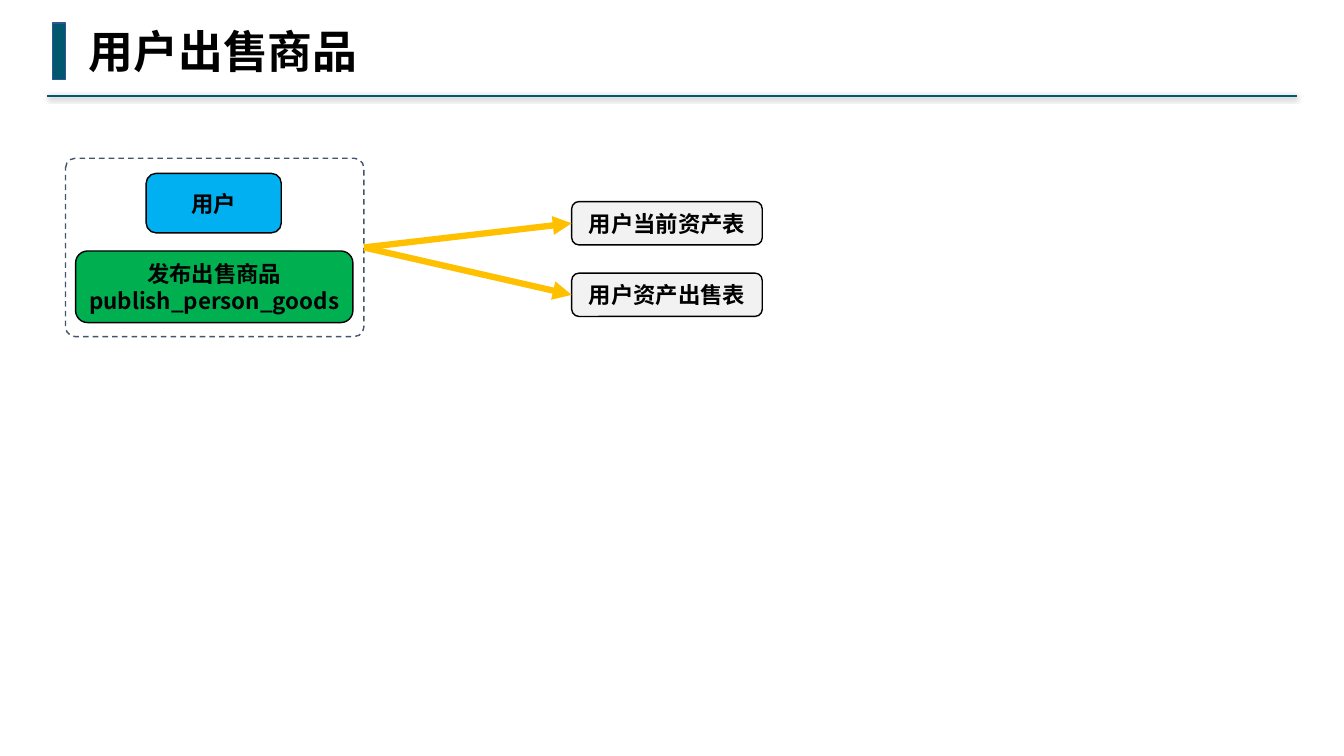
from pptx import Presentation
from pptx.dml.color import RGBColor
from pptx.enum.dml import MSO_LINE
from pptx.enum.shapes import MSO_CONNECTOR, MSO_SHAPE
from pptx.enum.text import MSO_ANCHOR, PP_ALIGN
from pptx.oxml.ns import qn
from pptx.util import Inches, Pt
from lxml.etree import SubElement

LABEL_FONT = "Noto Sans CJK SC"
TITLE_FONT = "DejaVu Sans Mono"
TEAL, BLACK = "00576E", "000000"
LEFT_SITE, RIGHT_SITE = 1, 3


def color(value):
    """Turn a hex string into a colour."""
    return RGBColor.from_string(value)


def write(shape, text, font, size, align):
    """Fill a shape with bold black text, one paragraph per line."""
    frame = shape.text_frame
    frame.text = text
    frame.word_wrap = False
    for para in frame.paragraphs:
        para.alignment = align
        for span in para.runs:
            span.font.size = Pt(size)
            span.font.bold = True
            span.font.color.rgb = color(BLACK)
            span.font.name = font
            SubElement(span.font._element, qn("a:ea"), typeface=font)


def add_box(page, box, kind, fill, line):
    """Add a flat preset shape; a fill of None leaves it hollow."""
    shape = page.shapes.add_shape(kind, *map(Inches, box))
    shape.shadow.inherit = False
    if fill:
        shape.fill.solid()
        shape.fill.fore_color.rgb = color(fill)
    else:
        shape.fill.background()
    shape.line.color.rgb = color(line)
    shape.line.width = Pt(1)
    return shape


def add_label(page, box, text, fill):
    """Add a rounded box with a centred label."""
    shape = add_box(page, box, MSO_SHAPE.ROUNDED_RECTANGLE, fill, BLACK)
    write(shape, text, LABEL_FONT, 16, PP_ALIGN.CENTER)
    frame = shape.text_frame
    frame.vertical_anchor = MSO_ANCHOR.MIDDLE
    frame.margin_left = frame.margin_right = Inches(0.04)
    frame.margin_top = frame.margin_bottom = Inches(0.04)
    return shape


def add_line(page, start, end, stroke, width):
    """Add a straight connector and return it with its empty effect list."""
    line = page.shapes.add_connector(
        MSO_CONNECTOR.STRAIGHT, *map(Inches, (*start, *end)))
    line.line.color.rgb = color(stroke)
    line.line.width = Pt(width)
    effects = SubElement(line._element.spPr, qn("a:effectLst"))
    return line, effects


def add_header(page, box, title):
    """Place the accent bar, the title and the shadowed rule below them."""
    left, top, width, height = box
    add_box(page, (left + 0.05, top, 0.13, 0.56), MSO_SHAPE.RECTANGLE, TEAL, "325491")
    heading = page.shapes.add_textbox(
        *map(Inches, (left + 0.31, top - 0.04, 2.89, 0.64)))
    write(heading, title, TITLE_FONT, 32, PP_ALIGN.LEFT)
    bottom = top + height
    _, effects = add_line(page, (left + width, bottom), (left, bottom), TEAL, 1.5)
    shadow = SubElement(effects, qn("a:outerShdw"), blurRad=str(Pt(4)),
                        dist=str(Pt(1)), dir="5400000", rotWithShape="0")
    tint = SubElement(shadow, qn("a:srgbClr"), val=BLACK)
    SubElement(tint, qn("a:alpha"), val="40000")


def add_user_group(page, box):
    """Place the dashed frame with the user and the publishing action."""
    left, top, width, height = box
    frame = add_box(page, box, MSO_SHAPE.ROUNDED_RECTANGLE, None, "44546A")
    frame.adjustments[0] = 0.055
    frame.line.dash_style = MSO_LINE.DASH
    add_label(page, (left + 0.8, top + 0.15, 1.34, 0.59), "用户", "00B0F0")
    add_label(page, (left + 0.1, top + 0.92, 2.75, 0.71),
              "发布出售商品\npublish_person_goods", "00B050")
    return frame


def add_tables(page, box, names, source):
    """Stack the table boxes evenly and point an arrow at each from the source."""
    left, top, width, height = box
    row_height = 0.43
    step = (height - row_height) / (len(names) - 1)
    for row, name in enumerate(names):
        place = (left, top + row * step, width, row_height)
        table = add_label(page, place, name, "F2F2F2")
        arrow, _ = add_line(page, (0, 0), (1, 1), "FFC000", 4.5)
        arrow.begin_connect(source, RIGHT_SITE)
        arrow.end_connect(table, LEFT_SITE)
        SubElement(arrow.line._get_or_add_ln(), qn("a:tailEnd"), type="triangle")


def build():
    """Build the slide and save the deck."""
    deck = Presentation()
    deck.slide_width, deck.slide_height = Inches(13.33), Inches(7.5)
    page = deck.slides.add_slide(deck.slide_layouts[6])
    add_header(page, (0.47, 0.23, 12.39, 0.72), "用户出售商品")
    user_group = add_user_group(page, (0.65, 1.57, 2.96, 1.77))
    add_tables(page, (5.67, 2, 1.89, 1.14),
               ("用户当前资产表", "用户资产出售表"), user_group)
    deck.save("out.pptx")


build()
